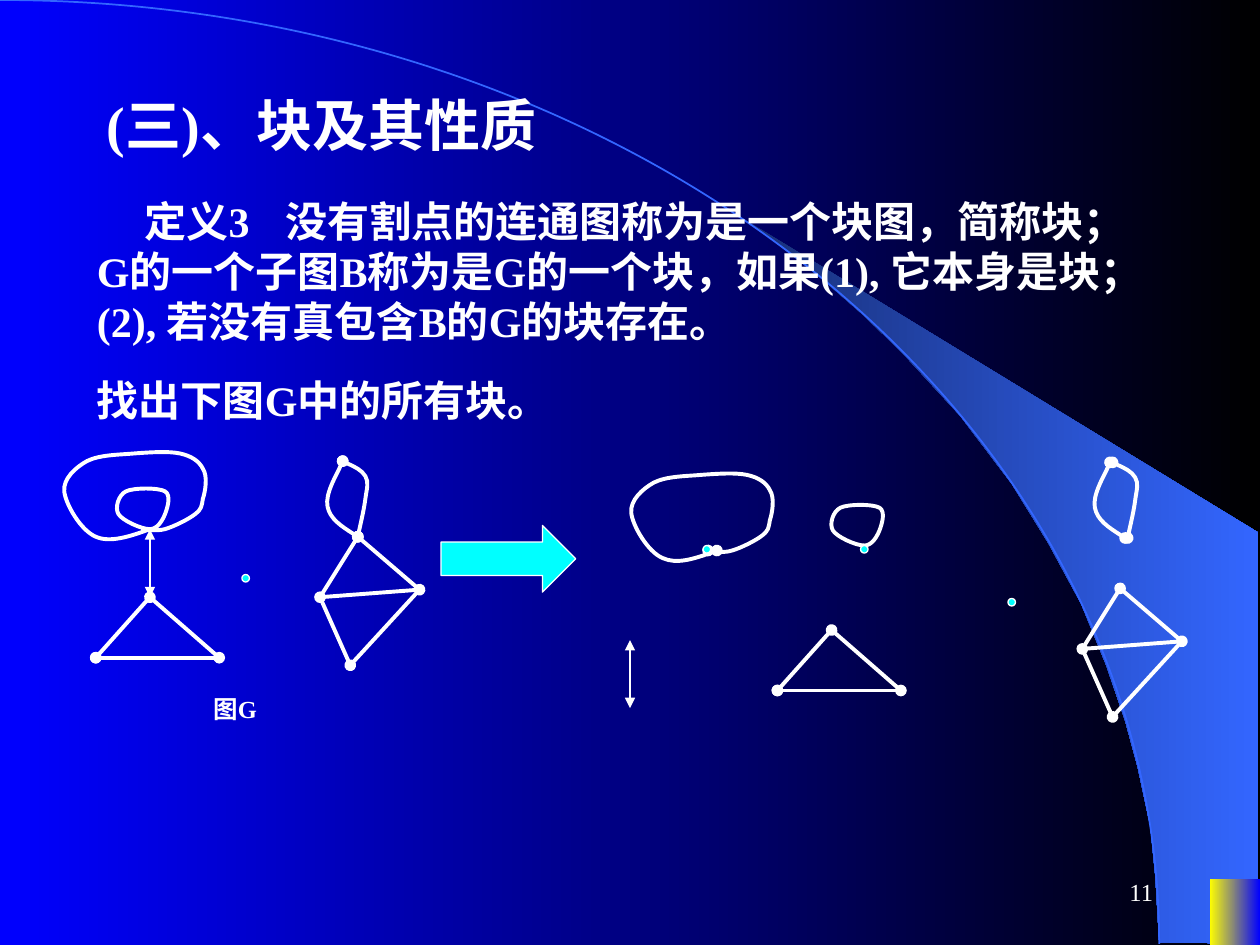
from lxml import etree
from pptx import Presentation
from pptx import util as u
from pptx.dml.color import RGBColor
from pptx.enum import shapes, text
from pptx.oxml import ns

COLORS = {"white": "FFFFFF", "cyan": "00FFFF", "blue": "0000FF", "black": "000000",
          "yellow": "FFFF00", "sky": "3366FF", "navy": "182F76"}
FONT = "Times New Roman"


def paint(fill, *names):
    """Fill with one colour, or with a left-to-right gradient of two."""
    if len(names) == 1:
        fill.solid()
        fill.fore_color.rgb = RGBColor.from_string(COLORS[names[0]])
        return
    fill.gradient()
    fill.gradient_angle = 0
    for stop, name, position in zip(fill.gradient_stops, names, (0, 1)):
        stop.color.rgb = RGBColor.from_string(COLORS[name])
        stop.position = position


def stroke(shape, width, ends=None, color="white"):
    """Give a line its colour, width and end marks, without shadow."""
    paint(shape.line.fill, color)
    shape.line.width = u.Pt(width)
    if ends:
        for tag in ("a:headEnd", "a:tailEnd"):
            etree.SubElement(shape.line._get_or_add_ln(), ns.qn(tag), type=ends)
    properties = shape._element.spPr
    if properties.find(ns.qn("a:effectLst")) is None:
        etree.SubElement(properties, ns.qn("a:effectLst"))


deck = Presentation()
deck.slide_width, deck.slide_height = u.Inches(10), u.Inches(7.5)
slide = deck.slides.add_slide(deck.slide_layouts[6])
canvas = slide.shapes
paint(slide.background.fill, "blue", "black")

# Light beam behind the arc
beam_outline = [(9.2, 7.48), (9.99, 7.49), (9.99, 4.23), (5.89, 1.73), (6.24, 1.99),
                (6.53, 2.22), (6.85, 2.5), (7.16, 2.8), (7.62, 3.3), (8.03, 3.84),
                (8.32, 4.31), (8.58, 4.79), (8.78, 5.28), (8.93, 5.72), (9.03, 6.09),
                (9.13, 6.56), (9.17, 6.96)]
points = [(u.Inches(x), u.Inches(y)) for x, y in beam_outline]
builder = canvas.build_freeform(*points[0])
builder.add_line_segments(points[1:], close=True)
beam = builder.convert_to_shape()
paint(beam.fill, "navy", "sky")
beam.line.fill.background()
beam.shadow.inherit = False

# Curves: start point, then Bezier segments of two controls and an end
arc = [(0, 0), (5.08, 0, 9.2, 3.35, 9.2, 7.49)]
inner_loop = [(1.19, 4.2), (1.12, 4.2, 0.97, 4.13, 0.94, 4.08),
              (0.91, 4.03, 0.94, 3.93, 1, 3.9), (1.06, 3.87, 1.26, 3.87, 1.31, 3.9),
              (1.36, 3.93, 1.33, 4.03, 1.31, 4.08), (1.29, 4.13, 1.25, 4.2, 1.19, 4.2)]
outer_loop = [(1.19, 4.2), (1.03, 4.26, 0.87, 4.31, 0.76, 4.26),
              (0.64, 4.21, 0.52, 4, 0.51, 3.9), (0.5, 3.8, 0.6, 3.71, 0.69, 3.66),
              (0.79, 3.61, 0.94, 3.61, 1.06, 3.6), (1.19, 3.59, 1.34, 3.58, 1.43, 3.6),
              (1.52, 3.62, 1.58, 3.66, 1.61, 3.72), (1.65, 3.78, 1.63, 3.9, 1.61, 3.96),
              (1.6, 4.02, 1.6, 4.04, 1.55, 4.08), (1.5, 4.12, 1.38, 4.18, 1.31, 4.2),
              (1.24, 4.22, 1.15, 4.2, 1.12, 4.2)]
ear_left = [(2.84, 4.26), (2.73, 4.19, 2.62, 4.12, 2.6, 4.02),
            (2.58, 3.92, 2.7, 3.72, 2.72, 3.66)]
ear_right = [(2.72, 3.66), (2.8, 3.7, 2.87, 3.73, 2.9, 3.78),
             (2.93, 3.83, 2.91, 3.88, 2.9, 3.96), (2.89, 4.04, 2.85, 4.21, 2.84, 4.26)]

# Each curve: offset, end marks, width, colour; G first, then its blocks
curves = [
    (arc, 0, 0, None, 1, "sky"),
    (inner_loop, 0, 0, None, 2.25, "white"),
    (outer_loop, 0, 0, None, 2.25, "white"),
    (ear_left, 0, 0, "oval", 2.25, "white"),
    (ear_right, 0, 0, "oval", 2.25, "white"),
    (inner_loop, 5.67, 0.13, None, 2.25, "white"),
    (outer_loop, 4.5, 0.17, "oval", 2.25, "white"),
    (ear_left, 6.09, 0.01, "oval", 2.25, "white"),
    (ear_right, 6.11, 0.01, "oval", 2.25, "white"),
]
for curve, dx, dy, ends, width, color in curves:
    points = [(u.Inches(part[i] + dx), u.Inches(part[i + 1] + dy))
              for part in curve for i in range(0, len(part), 2)]
    builder = canvas.build_freeform(*points[0])
    builder.add_line_segments(points[1:], close=curve is inner_loop)
    outline = builder.convert_to_shape()
    # Join every three straight steps into one cubic segment
    steps = list(outline._element.iter(ns.qn("a:lnTo")))
    for start in range(0, len(steps), 3):
        cubic = etree.Element(ns.qn("a:cubicBezTo"))
        steps[start].addprevious(cubic)
        for step in steps[start:start + 3]:
            cubic.append(step[0])
            step.getparent().remove(step)
    outline.fill.background()
    stroke(outline, width, ends, color)

# Straight edges of G, each repeated at its block's offset
bridge = [(1.19, 4.2, 1.19, 4.74, "triangle")]
triangle = [(1.19, 4.74, 0.76, 5.22, "oval"), (0.76, 5.22, 1.74, 5.22, "oval"),
            (1.19, 4.74, 1.74, 5.22, None)]
kite = [(2.84, 4.26, 2.54, 4.74, "oval"), (2.54, 4.74, 2.78, 5.28, None),
        (2.84, 4.26, 3.33, 4.68, None), (3.33, 4.68, 2.78, 5.28, "oval"),
        (2.54, 4.74, 3.33, 4.68, None)]
for edges, block_offset in ((bridge, (3.81, 0.88)), (triangle, (5.41, 0.26)),
                            (kite, (6.05, 0.41))):
    for dx, dy in ((0, 0), block_offset):
        for x1, y1, x2, y2, ends in edges:
            edge = canvas.add_connector(
                shapes.MSO_CONNECTOR.STRAIGHT, u.Inches(x1 + dx), u.Inches(y1 + dy),
                u.Inches(x2 + dx), u.Inches(y2 + dy))
            stroke(edge, 1.5 if edges is bridge else 2.25, ends)

# Cyan vertices, arrow from G to its blocks, corner block
SHAPE = shapes.MSO_SHAPE
vertices = [(1.92, 4.56), (8, 4.75), (6.83, 4.33), (5.58, 4.33)]
solids = [(SHAPE.OVAL, x, y, 0.06, 0.06, ["cyan"]) for x, y in vertices]
solids += [(SHAPE.RIGHT_ARROW, 3.5, 4.17, 1.07, 0.53, ["cyan"]),
           (SHAPE.RECTANGLE, 9.6, 6.98, 0.4, 0.52, ["yellow", "blue"])]
for kind, x, y, w, h, fill in solids:
    solid = canvas.add_shape(kind, u.Inches(x), u.Inches(y), u.Inches(w), u.Inches(h))
    paint(solid.fill, *fill)
    if kind == SHAPE.RECTANGLE:
        solid.line.fill.background()
        solid.shadow.inherit = False
    else:
        stroke(solid, 0.75)

# Texts: box, size, bold, alignment, space before, first-line indent
ALIGN = text.PP_ALIGN
definition = ("定义3\t没有割点的连通图称为是一个块图，简称块；G的一个子图B称为是G的一个块，"
              "如果(1), 它本身是块；(2), 若没有真包含B的G的块存在。")
texts = [
    ("(三)、块及其性质", 0.75, 0.67, 7.33, 0.64, 32, True, ALIGN.LEFT, 20, 0),
    (definition, 0.67, 1.5, 8.42, 1.3, 24, True, ALIGN.LEFT, 15, 0.38),
    ("找出下图G中的所有块。", 0.67, 2.92, 8.42, 0.5, 24, True, ALIGN.LEFT, 15, 0),
    ("图G", 1.12, 5.46, 1.49, 0.34, 14, True, ALIGN.CENTER, 0, 0),
    ("11", 7.17, 6.83, 2.08, 0.5, 14, False, ALIGN.RIGHT, 0, 0),
]
for words, x, y, w, h, size, bold, align, before, indent in texts:
    frame = canvas.add_textbox(u.Inches(x), u.Inches(y), u.Inches(w), u.Inches(h)).text_frame
    frame.word_wrap = True
    if words == "11":
        frame.vertical_anchor = text.MSO_ANCHOR.MIDDLE
    paragraph = frame.paragraphs[0]
    paragraph.alignment = align
    paragraph.space_before = u.Pt(before)
    if indent:
        properties = paragraph._p.get_or_add_pPr()
        properties.set("indent", str(u.Inches(indent)))
        tabs = etree.SubElement(properties, ns.qn("a:tabLst"))
        etree.SubElement(tabs, ns.qn("a:tab"), pos=str(u.Inches(1.58)), algn="l")
    run = paragraph.add_run()
    run.text = words
    run.font.name, run.font.size, run.font.bold = FONT, u.Pt(size), bold
    run.font.color.rgb = RGBColor.from_string(COLORS["white"])

deck.save("out.pptx")
